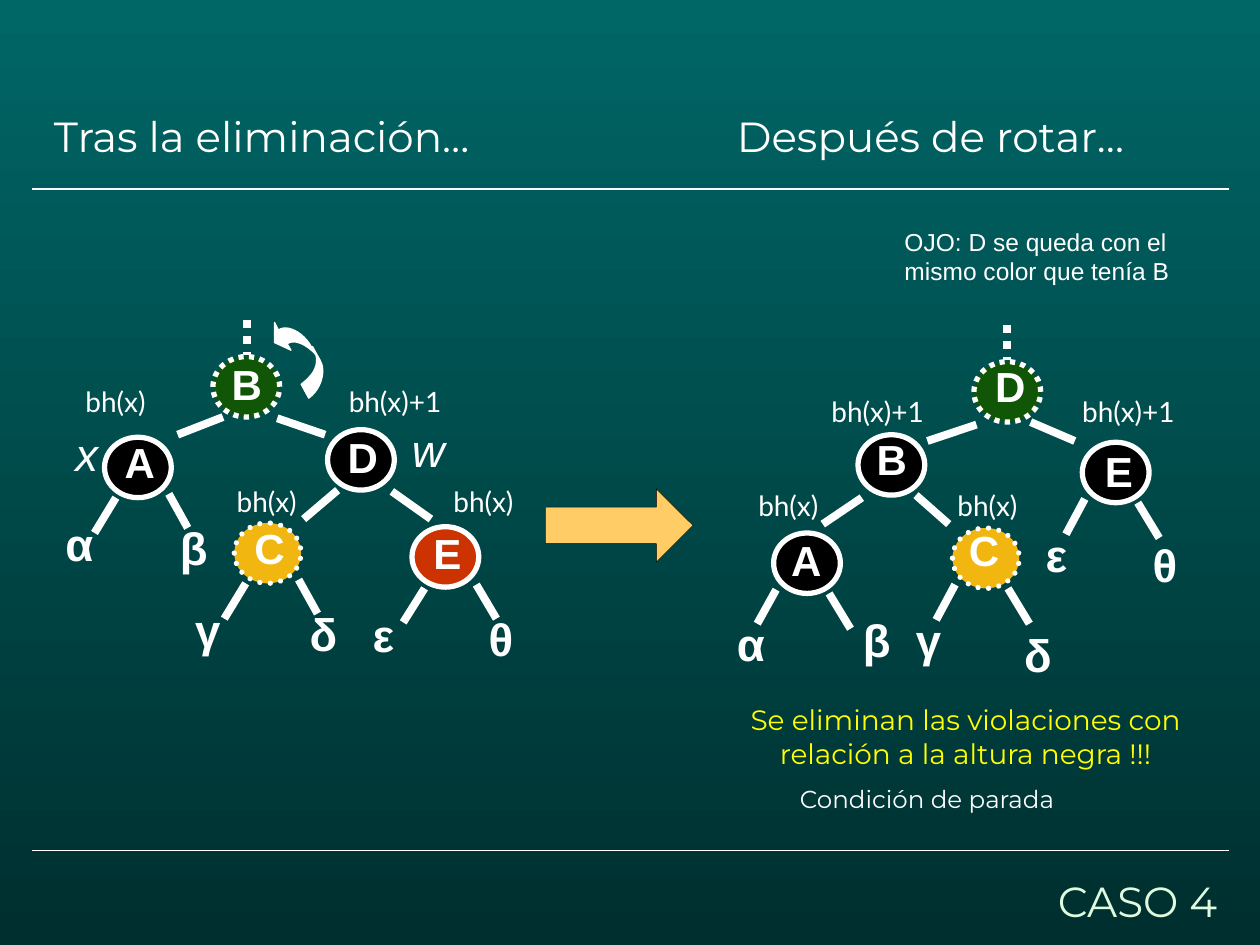
import pptx
import pptx.util
import pptx.dml.color
import pptx.enum.dml
import pptx.enum.shapes
import pptx.enum.text
import pptx.oxml
import pptx.oxml.ns
from dataclasses import dataclass

Inches = pptx.util.Inches
Align = pptx.enum.text.PP_ALIGN
Dash = pptx.enum.dml.MSO_LINE
Preset = pptx.enum.shapes.MSO_SHAPE


@dataclass(frozen=True)
class Theme:
    white: str = "FFFFFF"
    black: str = "000000"
    green: str = "115606"
    gold: str = "F1B60F"
    red: str = "CC3300"
    arrow: str = "FFCC66"
    yellow: str = "FFFF00"
    mint: str = "DFFADE"
    top: str = "006666"
    bottom: str = "002F2F"
    heading: str = "Montserrat"
    body: str = "Arial"
    height: str = "Lato"
    large: int = 24
    greek: int = 26
    medium: int = 16
    small: int = 14


def rgb(value):
    return pptx.dml.color.RGBColor.from_string(value)


def curve(start, first, second, end, steps=12):
    """Points along a cubic curve, without its start."""
    points = []
    for step in range(1, steps + 1):
        t = step / steps
        weights = ((1 - t) ** 3, 3 * t * (1 - t) ** 2, 3 * t * t * (1 - t), t ** 3)
        corners = (start, first, second, end)
        points.append(tuple(sum(w * c[axis] for w, c in zip(weights, corners))
                            for axis in (0, 1)))
    return points


class Painter:
    def __init__(self, theme, page):
        self.theme = theme
        self.page = page
        self.shapes = page.shapes

    def background(self):
        fill = self.page.background.fill
        fill.gradient()
        fill.gradient_angle = 270
        for stop, color in zip(fill.gradient_stops, (self.theme.top, self.theme.bottom)):
            stop.color.rgb = rgb(color)
        fill.gradient_stops[0].position, fill.gradient_stops[1].position = 0, 1

    def begin_group(self):
        self.shapes = self.page.shapes.add_group_shape().shapes

    def end_group(self):
        self.shapes = self.page.shapes

    def set_text(self, box, text, size, font, color=None, bold=False, italic=False,
                 align=Align.LEFT, spacing=None):
        frame = box.text_frame
        frame.word_wrap = True
        frame.auto_size = pptx.enum.text.MSO_AUTO_SIZE.SHAPE_TO_FIT_TEXT
        frame.vertical_anchor = pptx.enum.text.MSO_ANCHOR.TOP
        frame.text = text
        para = frame.paragraphs[0]
        para.alignment = align
        para.space_before = pptx.util.Pt(0)
        para.line_spacing = spacing
        para.font.size = pptx.util.Pt(size)
        para.font.name = font
        para.font.bold, para.font.italic = bold, italic
        para.font.color.rgb = rgb(color or self.theme.white)

    def text(self, at, text, size, font, **style):
        box = self.shapes.add_textbox(*map(Inches, at))
        self.set_text(box, text, size, font, **style)

    def title(self, at, text):
        box = self.page.shapes.title
        box.left, box.top, box.width, box.height = map(Inches, at)
        self.set_text(box, text, self.theme.large, self.theme.heading,
                      color=self.theme.mint, align=Align.RIGHT)

    def paint(self, shape, fill, line, width):
        shape.shadow.inherit = False
        shape.fill.solid()
        shape.fill.fore_color.rgb = rgb(fill)
        shape.line.color.rgb = rgb(line)
        shape.line.width = pptx.util.Pt(width)

    def line(self, start, end, width=4.5, dash=None):
        connector = self.shapes.add_connector(
            pptx.enum.shapes.MSO_CONNECTOR.STRAIGHT, *map(Inches, start + end))
        connector.line.color.rgb = rgb(self.theme.white)
        connector.line.width = pptx.util.Pt(width)
        if dash:
            connector.line.dash_style = dash
        properties = connector._element.spPr
        properties.append(pptx.oxml.parse_xml(
            "<a:effectLst %s/>" % pptx.oxml.ns.nsdecls("a")))

    def arrow(self, at):
        shape = self.shapes.add_shape(Preset.RIGHT_ARROW, *map(Inches, at))
        self.paint(shape, self.theme.arrow, self.theme.black, 0.25)

    def node(self, letter, fill, at, letter_at):
        circle = self.shapes.add_shape(Preset.OVAL, *map(Inches, at + (0.53, 0.48)))
        self.paint(circle, fill, self.theme.white, 3)
        # Green and gold nodes may have either colour: dotted rim
        if fill in (self.theme.green, self.theme.gold):
            circle.line.dash_style = Dash.ROUND_DOT
        if fill == self.theme.gold:
            circle._element.spPr.find(pptx.oxml.ns.qn("a:ln")).set("cap", "rnd")
        self.text(letter_at + (0.48, 0.47), letter, self.theme.large,
                  self.theme.body, bold=True, spacing=0.93)

    def subtree(self, letter, at):
        self.text(at + (0.42, 0.54), letter, self.theme.greek, self.theme.body, bold=True)

    def pointer(self, letter, at):
        self.text(at + (0.58, 0.51), letter, self.theme.greek, self.theme.body,
                  italic=True, spacing=0.93)

    def black_height(self, text, at):
        width = 1.08 if text.endswith("+1") else 0.92
        self.text(at + (width, 0.37), text, self.theme.medium, self.theme.height)

    def outline(self, points):
        points = [tuple(map(Inches, point)) for point in points]
        builder = self.shapes.build_freeform(*points[0])
        builder.add_line_segments(points[1:], close=True)
        self.paint(builder.convert_to_shape(), self.theme.white, self.theme.white, 0.75)

    def tree(self, root_line, edges, nodes, subtrees, heights):
        self.line(*root_line, dash=Dash.ROUND_DOT)
        for edge in edges:
            self.line(*edge)
        for node in nodes:
            self.node(*node)
        for subtree in subtrees:
            self.subtree(*subtree)
        for height in heights:
            self.black_height(*height)


def main():
    deck = pptx.Presentation()
    deck.slide_width, deck.slide_height = Inches(10), Inches(7.5)
    theme = Theme()
    page = deck.slides.add_slide(deck.slide_layouts[5])
    painter = Painter(theme, page)
    painter.background()

    # Headings, rules and the arrow between the trees
    painter.title((5.68, 6.9, 4.08, 0.5), "CASO 4")
    painter.arrow((4.33, 3.88, 1.17, 0.58))
    for left, heading in ((0.33, "Tras la eliminación…"), (5.75, "Después de rotar…")):
        painter.text((left, 0.83, 4.08, 0.5), heading, theme.large, theme.heading)
    for top in (1.5, 6.75):
        painter.line((0.25, top), (9.75, top), width=0.75)

    # Tree after the deletion
    painter.begin_group()
    painter.tree(
        ((1.96, 2.54), (1.96, 2.82)),
        [((2.2, 3.32), (2.58, 3.45)), ((1.77, 3.31), (1.41, 3.45)),
         ((3.11, 3.9), (3.42, 4.12)), ((2.68, 3.89), (2.41, 4.12)),
         ((3.78, 4.64), (3.94, 4.91)), ((3.37, 4.67), (3.2, 4.94)),
         ((2.37, 4.6), (2.52, 4.87)), ((1.95, 4.63), (1.78, 4.91)),
         ((1.34, 3.92), (1.49, 4.19)), ((0.92, 3.95), (0.75, 4.23))],
        [("C", theme.gold, (1.86, 4.15), (1.92, 4.13)),
         ("D", theme.black, (2.6, 3.41), (2.66, 3.41)),
         ("B", theme.green, (1.69, 2.83), (1.74, 2.83)),
         ("E", theme.red, (3.27, 4.18), (3.34, 4.17)),
         ("A", theme.black, (0.83, 3.47), (0.89, 3.45))],
        [("ε", (2.86, 4.77)), ("θ", (3.78, 4.8)), ("γ", (1.45, 4.73)),
         ("δ", (2.36, 4.76)), ("α", (0.42, 4.05)), ("β", (1.33, 4.08))],
        [("bh(x)", (0.58, 3)), ("bh(x)+1", (2.67, 3)),
         ("bh(x)", (3.5, 3.8)), ("bh(x)", (1.78, 3.8))])
    painter.pointer("x", (0.5, 3.37))
    painter.pointer("w", (3.17, 3.34))

    # Curved rotation arrow: tail, then head
    painter.outline([(2.45, 3.16)]
                    + curve((2.45, 3.16), (2.55, 3.09), (2.59, 2.94), (2.54, 2.86))
                    + [(2.48, 2.75)]
                    + curve((2.48, 2.75), (2.56, 2.89), (2.48, 2.98), (2.39, 3.05)))
    painter.outline([(2.47, 2.75)]
                    + curve((2.47, 2.75), (2.41, 2.64), (2.28, 2.57), (2.21, 2.62))
                    + [(2.18, 2.56), (2.18, 2.72), (2.31, 2.78), (2.28, 2.73)]
                    + curve((2.28, 2.73), (2.34, 2.68), (2.47, 2.75), (2.54, 2.86)))

    # Tree after the rotation
    painter.begin_group()
    painter.tree(
        ((7.99, 2.58), (7.99, 2.86)),
        [((7.75, 3.37), (7.36, 3.5)), ((8.18, 3.35), (8.53, 3.5)),
         ((6.84, 3.95), (6.53, 4.16)), ((7.27, 3.93), (7.53, 4.16)),
         ((6.16, 4.68), (6.01, 4.95)), ((6.58, 4.71), (6.75, 4.99)),
         ((7.58, 4.64), (7.43, 4.92)), ((8, 4.67), (8.17, 4.95)),
         ((8.61, 3.96), (8.46, 4.24)), ((9.03, 3.99), (9.2, 4.27))],
        [("C", theme.gold, (7.56, 4.19), (7.59, 4.15)),
         ("A", theme.black, (6.14, 4.23), (6.18, 4.23)),
         ("B", theme.black, (6.81, 3.45), (6.86, 3.43)),
         ("D", theme.green, (7.73, 2.87), (7.8, 2.85)),
         ("E", theme.black, (8.59, 3.51), (8.67, 3.52))],
        [("β", (6.75, 4.81)), ("α", (5.75, 4.84)), ("δ", (8.03, 4.93)),
         ("γ", (7.17, 4.81)), ("ε", (8.2, 4.13)), ("θ", (9.05, 4.21))],
        [("bh(x)", (5.92, 3.83)), ("bh(x)+1", (6.5, 3.08)),
         ("bh(x)+1", (8.49, 3.08)), ("bh(x)", (7.5, 3.83))])
    painter.end_group()

    # Remarks
    painter.text((5.5, 5.53, 4.33, 0.64),
                 "Se eliminan las violaciones con relación a la altura negra !!!",
                 theme.medium, theme.heading, color=theme.yellow, align=Align.CENTER)
    painter.text((6.25, 6.17, 3.17, 0.34), "Condición de parada", theme.small, theme.heading)
    painter.text((7.08, 1.75, 2.58, 0.57), "OJO: D se queda con el mismo color que tenía B",
                 theme.small, theme.body)
    deck.save("out.pptx")


if __name__ == "__main__":
    main()
